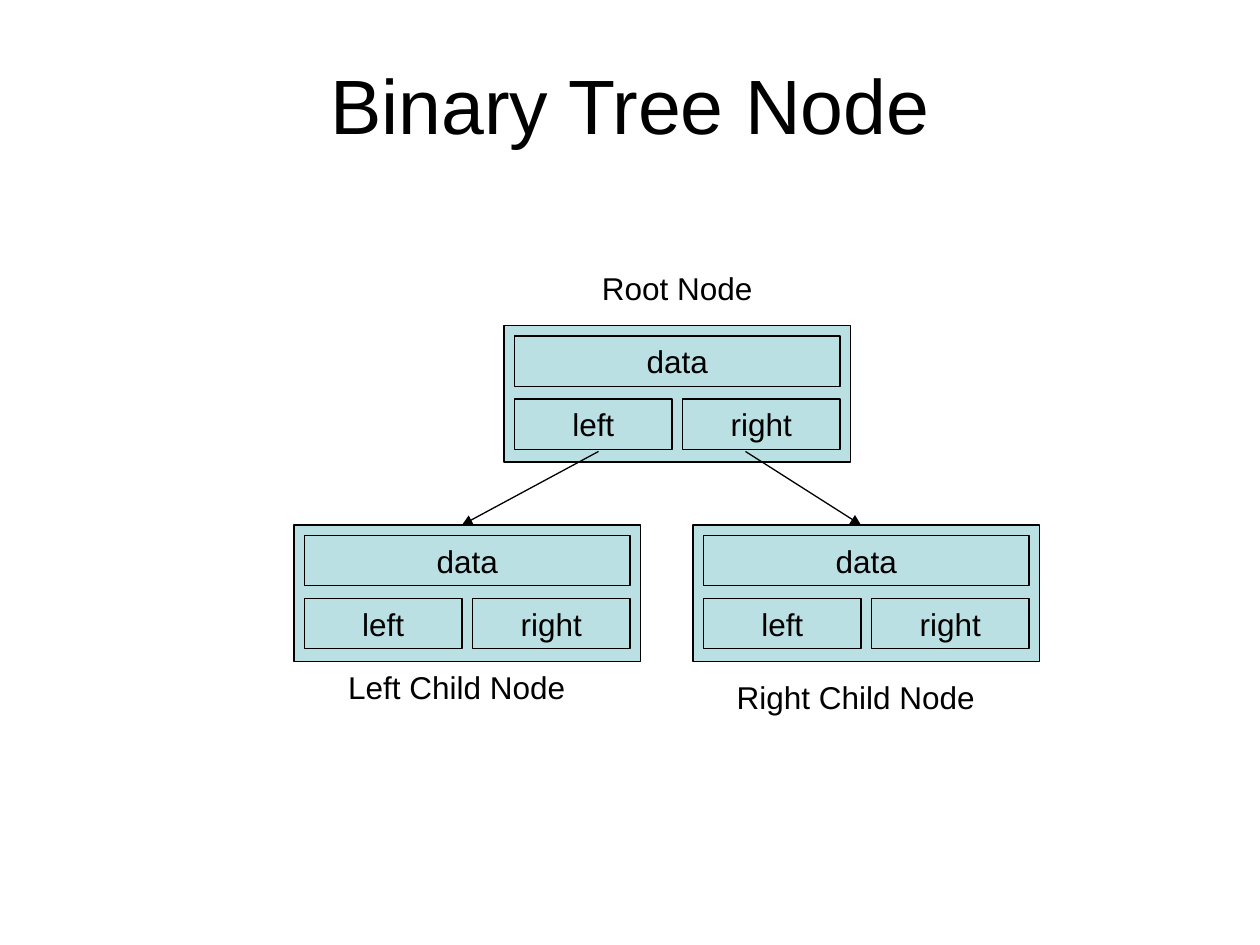
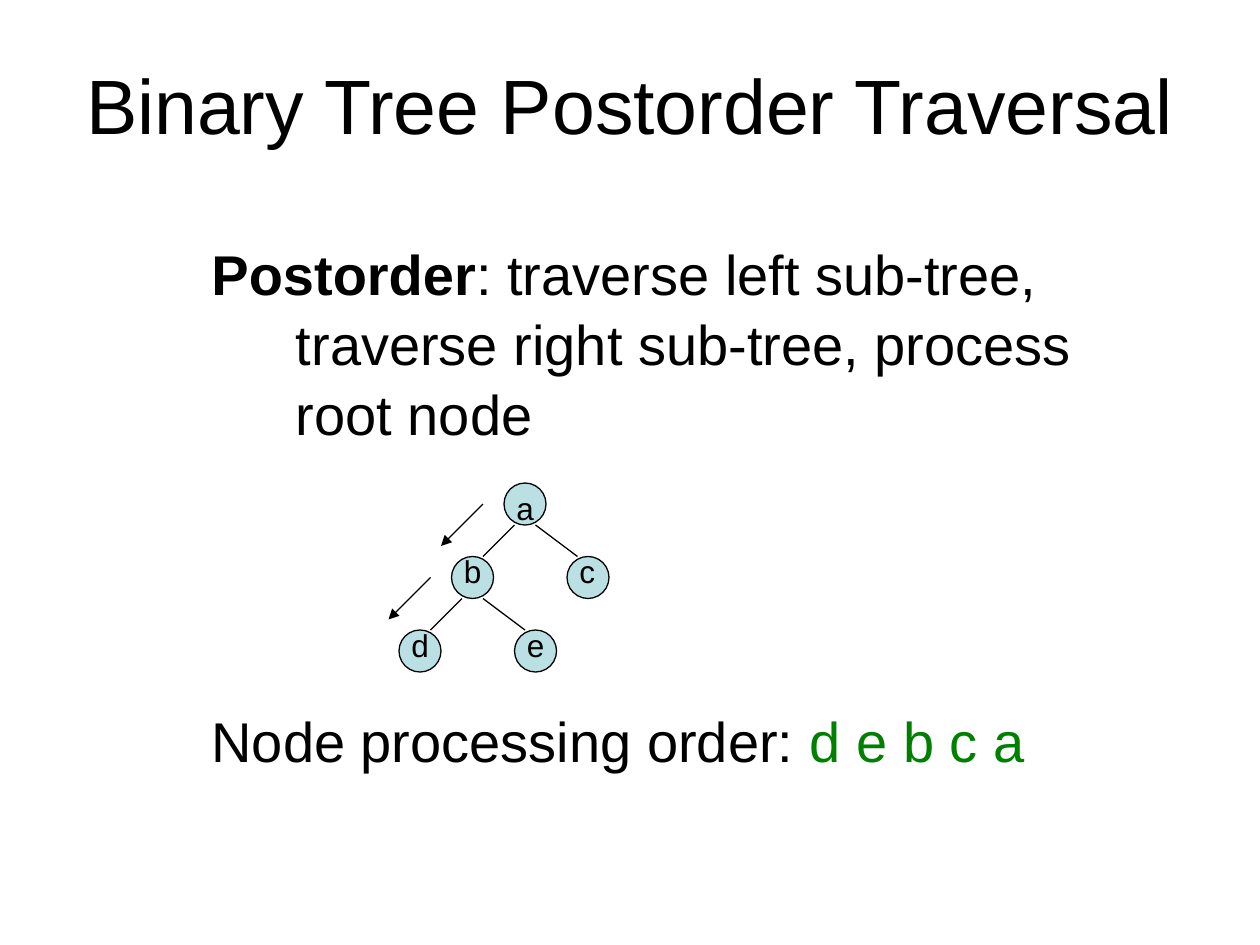
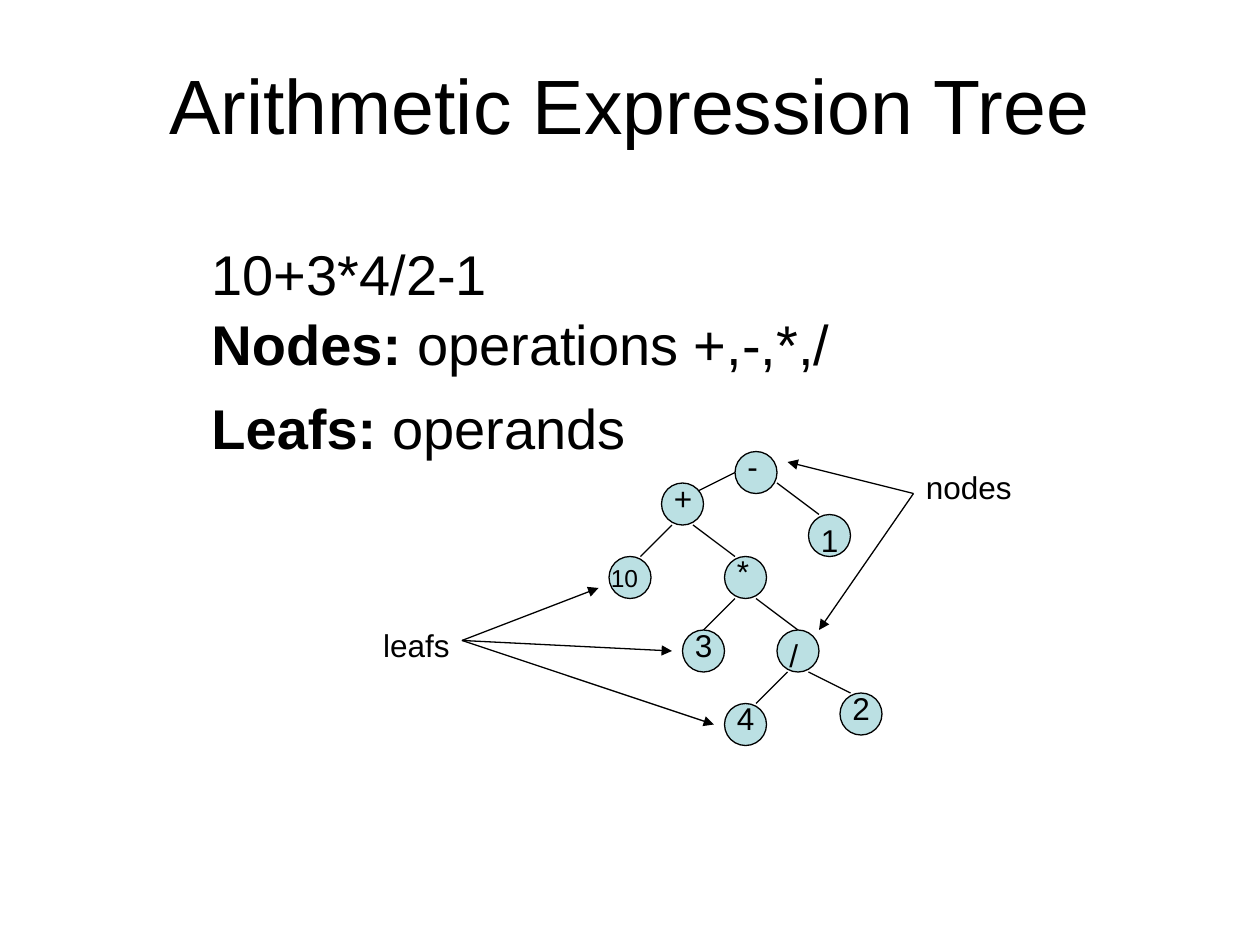
from dataclasses import dataclass

from lxml import etree
from pptx import Presentation
from pptx.dml.color import RGBColor
from pptx.enum.shapes import MSO_CONNECTOR, MSO_SHAPE
from pptx.enum.text import MSO_ANCHOR, MSO_AUTO_SIZE, PP_ALIGN
from pptx.oxml.ns import qn
from pptx.util import Inches, Pt

RECTANGLE, OVAL = MSO_SHAPE.RECTANGLE, MSO_SHAPE.OVAL
STRAIGHT = MSO_CONNECTOR.STRAIGHT
LEFT, CENTER, RIGHT = PP_ALIGN.LEFT, PP_ALIGN.CENTER, PP_ALIGN.RIGHT
MIDDLE = MSO_ANCHOR.MIDDLE
NO_FIT = MSO_AUTO_SIZE.NONE


@dataclass(frozen=True)
class Theme:
    font: str = "Arial"
    ink: RGBColor = RGBColor(0x00, 0x00, 0x00)
    node: RGBColor = RGBColor(0xBB, 0xE0, 0xE3)
    answer: RGBColor = RGBColor(0x00, 0x80, 0x00)
    title: int = 44
    body: int = 32
    label: int = 18
    small: int = 14
    line: float = 0.75
    leading: float = 1.04


THEME = Theme()
GRID = 12  # grid units per inch; all diagram positions are in grid units
CIRCLE = 4
RECORD_WIDTH, RECORD_HEIGHT = 33, 13
LABEL_HEIGHT = 4.8
BOLD, GREEN = {"bold": True}, {"color": THEME.answer}

# Record fields: text, offset inside the record, width
FIELDS = [("data", 1, 1, 31), ("left", 1, 7, 15), ("right", 17, 7, 15)]
RECORDS = [(48, 31), (28, 50), (66, 50)]
RECORD_ARROWS = [(57, 43, 44, 50), (71, 43, 82, 50)]
RECORD_LABELS = [("Root Node", 49, 25), ("Left Child Node", 28, 63),
                 ("Right Child Node", 66, 64)]

# Tree nodes: name -> left, top, how far the label is raised
POSTORDER = {
    "body_height": 5,
    "paragraphs": [
        (0, [("Postorder", BOLD),
             (": traverse left sub-tree, traverse right sub-tree, "
              "process root node", {})]),
        (147, [("Node processing order: ", {}), ("d e b c a", GREEN)]),
    ],
    "nodes": {"a": (48, 46, 0), "b": (43, 53, 1), "c": (54, 53, 1),
              "d": (38, 60, 1), "e": (49, 60, 1)},
    "edges": ["ab", "ac", "bd", "be"],
    "free_edges": [],
    "captions": [],
    "arrows": [(46, 48, 42, 52), (41, 55, 37, 59)],
}
EXPRESSION = {
    "body_height": 4.92,
    "paragraphs": [
        (0, [("10+3*4/2-1", {})]),
        (0, [("Nodes:", BOLD), (" operations +,-,*,/", {})]),
        (8, [("Leafs: ", BOLD), ("operands", {})]),
    ],
    "nodes": {"-": (70, 43, 1), "+": (63, 46, 1), "1": (77, 49, 0),
              "10": (58, 53, 0), "*": (69, 53, 1), "3": (65, 60, 1),
              "/": (74, 60, 0), "4": (69, 67, 1), "2": (80, 66, 1)},
    "edges": [("+", "10"), "+*", "/4", "/2"],
    "free_edges": [(66, 47, 70, 45), (74, 46, 78, 49),
                   (67, 60, 70, 57), (72, 57, 76, 60)],
    "captions": [("nodes", 87, 44, 12, LEFT), ("leafs", 34, 59, 10, RIGHT)],
    "arrows": [(87, 47, 75, 44), (87, 47, 78, 60),
               (44, 61, 57, 56), (44, 61, 64, 62), (44, 61, 68, 69)],
}


def on_grid(*units):
    return [Inches(unit / GRID) for unit in units]


def add_span(para, text, size, bold=False, color=THEME.ink):
    span = para.add_run()
    span.text = text
    span.font.color.rgb = color
    formats = {"name": THEME.font, "size": Pt(size), "bold": bold}
    for name, value in formats.items():
        setattr(span.font, name, value)


def add_page(deck, title, left=0):
    """Add a slide whose centred title leaves the same margin on both sides."""
    page = deck.slides.add_slide(deck.slide_layouts[5])
    box = page.shapes.title
    place = {"left": Inches(left), "top": 0,
             "width": Inches(10 - 2 * left), "height": Inches(1.61)}
    for name, value in place.items():
        setattr(box, name, value)
    box.text_frame.auto_size = NO_FIT
    box.text_frame.vertical_anchor = MIDDLE
    para = box.text_frame.paragraphs[0]
    para.alignment = CENTER
    para.line_spacing = THEME.leading
    add_span(para, title, THEME.title)
    return page


def add_body(page, paragraphs, height):
    box = page.shapes.add_textbox(*map(Inches, (1.58, 1.83, 7.42, height)))
    frame = box.text_frame
    frame.word_wrap = True
    for index, (space, spans) in enumerate(paragraphs):
        para = frame.add_paragraph() if index else frame.paragraphs[0]
        hanging = para._p.get_or_add_pPr()
        hanging.set("marL", str(Inches(0.67)))
        hanging.set("indent", str(-Inches(0.67)))
        para.line_spacing = THEME.leading
        if space:
            para.space_before = Pt(space)
        for text, style in spans:
            add_span(para, text, THEME.body, **style)


def add_outline(page, kind, left, top, width, height, filled=True):
    shape = page.shapes.add_shape(kind, *on_grid(left, top, width, height))
    shape.shadow.inherit = False
    if filled:
        shape.fill.solid()
        shape.fill.fore_color.rgb = THEME.node
    else:
        shape.fill.background()
    shape.line.color.rgb = THEME.ink
    shape.line.width = Pt(THEME.line)
    return shape


def write_label(box, text, align=CENTER, size=THEME.label):
    box.text_frame.word_wrap = True
    para = box.text_frame.paragraphs[0]
    para.alignment = align
    add_span(para, text, size)


def add_label(page, text, left, top, width, align=CENTER, size=THEME.label):
    box = page.shapes.add_textbox(*on_grid(left, top, width, LABEL_HEIGHT))
    write_label(box, text, align, size)


def add_line(page, ends, arrow=False):
    line = page.shapes.add_connector(STRAIGHT, *on_grid(*ends))
    line.line.color.rgb = THEME.ink
    line.line.width = Pt(THEME.line)
    if arrow:
        etree.SubElement(line.line._get_or_add_ln(), qn("a:tailEnd"),
                         type="triangle")
    etree.SubElement(line._element.spPr, qn("a:effectLst"))


def edge_between(parent, child):
    """Join the underside of a parent to the top of its left or right child."""
    (px, py, _), (cx, cy, _) = parent, child
    out, into = (1, 3) if cx < px else (3, 1)
    return px + out, py + CIRCLE, cx + into, cy


def draw_records(page):
    for left, top in RECORDS:
        add_outline(page, RECTANGLE, left, top, RECORD_WIDTH, RECORD_HEIGHT)
        for text, dx, dy, width in FIELDS:
            field = add_outline(page, RECTANGLE, left + dx, top + dy, width,
                                LABEL_HEIGHT, filled=False)
            write_label(field, text)
    for ends in RECORD_ARROWS:
        add_line(page, ends, arrow=True)
    for text, left, top in RECORD_LABELS:
        add_label(page, text, left, top, 31)


def draw_tree(page, tree):
    add_body(page, tree["paragraphs"], tree["body_height"])
    nodes = tree["nodes"]
    edges = [edge_between(nodes[parent], nodes[child])
             for parent, child in tree["edges"]]
    for ends in edges + tree["free_edges"]:
        add_line(page, ends)
    for name, (left, top, lift) in nodes.items():
        add_outline(page, OVAL, left, top, CIRCLE, CIRCLE)
        if len(name) > 1:
            add_label(page, name, left - 1, top, CIRCLE + 2, LEFT, THEME.small)
        else:
            add_label(page, name, left, top - lift, CIRCLE, LEFT)
    for caption in tree["captions"]:
        add_label(page, *caption)
    for ends in tree["arrows"]:
        add_line(page, ends, arrow=True)


def main():
    deck = Presentation()
    deck.slide_width, deck.slide_height = Inches(10), Inches(7.5)
    draw_records(add_page(deck, "Binary Tree Node"))
    draw_tree(add_page(deck, "Binary Tree Postorder Traversal"), POSTORDER)
    draw_tree(add_page(deck, "Arithmetic Expression Tree", 0.75), EXPRESSION)
    deck.save("out.pptx")


if __name__ == "__main__":
    main()
